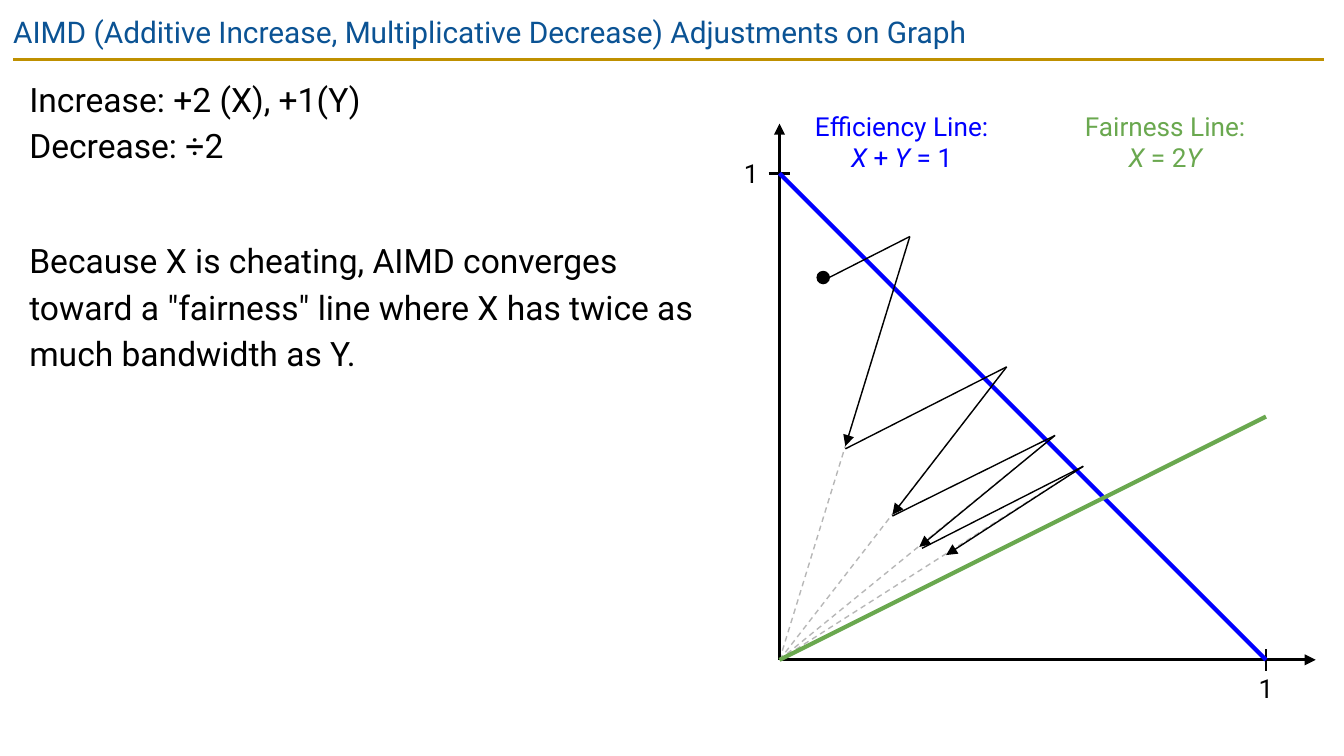
"""Build a slide that plots AIMD adjustments converging toward a fairness line."""
from lxml import etree
from pptx import Presentation
from pptx.dml.color import RGBColor
from pptx.enum.dml import MSO_LINE
from pptx.enum.shapes import MSO_CONNECTOR, MSO_SHAPE
from pptx.enum.text import PP_ALIGN
from pptx.oxml.ns import qn
from pptx.util import Inches, Pt

STRAIGHT = MSO_CONNECTOR.STRAIGHT
OVAL = MSO_SHAPE.OVAL
DASH = MSO_LINE.DASH
LEFT, CENTER = PP_ALIGN.LEFT, PP_ALIGN.CENTER

BLACK = RGBColor(0x00, 0x00, 0x00)
GRAY = RGBColor(0xB7, 0xB7, 0xB7)
GOLD = RGBColor(0xBF, 0x90, 0x00)
NAVY = RGBColor(0x0B, 0x53, 0x94)
BLUE = RGBColor(0x00, 0x00, 0xFF)
GREEN = RGBColor(0x6A, 0xA8, 0x4F)

ORIGIN_X, ORIGIN_Y = 5.8, 4.91
UNIT = 3.62
TICK = 0.08


def add_text(shapes, lines, left, top, width, height, size=14, color=BLACK,
             align=CENTER, inset=0, spacing=1, gap=0):
    box = shapes.add_textbox(Inches(left), Inches(top), Inches(width), Inches(height))
    frame = box.text_frame
    frame.word_wrap = True
    frame.margin_left = frame.margin_right = Inches(inset)
    frame.margin_top = frame.margin_bottom = Inches(inset)
    for index, pieces in enumerate(lines):
        para = frame.paragraphs[0] if index == 0 else frame.add_paragraph()
        para.alignment = align
        para.line_spacing = spacing
        para.space_before = Pt(gap if index == 2 else 0)
        for piece in pieces:
            span = para.add_run()
            span.text = piece
            span.font.name = "Roboto"
            span.font.size = Pt(size)
            span.font.color.rgb = color
            span.font.italic = piece in ("X", "Y")


def add_line(shapes, start, end, color=BLACK, width=0.75, dash=None, arrow=False):
    line = shapes.add_connector(STRAIGHT, *[Inches(value) for value in (*start, *end)])
    line.line.color.rgb = color
    line.line.width = Pt(width)
    if dash:
        line.line.dash_style = dash
    if arrow:
        etree.SubElement(line.line._get_or_add_ln(), qn("a:tailEnd"), type="triangle")
    etree.SubElement(line._element.spPr, qn("a:effectLst"))


deck = Presentation()
deck.slide_width = Inches(10)
deck.slide_height = deck.slide_width * 9 // 16
page = deck.slides.add_slide(deck.slide_layouts[6])
shapes = page.shapes

add_line(shapes, (0.1, 0.44), (9.85, 0.44), color=GOLD, width=1.5)
add_text(shapes, [["AIMD (Additive Increase, Multiplicative Decrease) Adjustments on Graph"]],
         0, 0, 9.32, 0.43, size=16, color=NAVY, align=LEFT, inset=0.1)
add_text(shapes, [["Increase: +2 (X), +1(Y)"], ["Decrease: ÷2"],
                  ["Because X is cheating, AIMD converges toward a \"fairness\" line "
                   "where X has twice as much bandwidth as Y."]],
         0.12, 0.44, 5.17, 3.99, size=18, align=LEFT, inset=0.1, spacing=1.15, gap=37)

origin = (ORIGIN_X, ORIGIN_Y)
x_one = (ORIGIN_X + UNIT, ORIGIN_Y)
y_one = (ORIGIN_X, ORIGIN_Y - UNIT)

peaks = [(6.77, 1.76), (7.49, 2.73), (7.85, 3.24), (8.06, 3.47)]
for peak in peaks:
    add_line(shapes, origin, peak, color=GRAY, dash=DASH)

y_axis = shapes.add_group_shape().shapes
add_line(y_axis, origin, (ORIGIN_X, 0.92), width=1.5, arrow=True)
add_text(y_axis, [["1"]], 5.46, 1.17, 0.26, 0.24)
add_line(y_axis, (ORIGIN_X - TICK, y_one[1]), (ORIGIN_X + TICK, y_one[1]), width=1.5)

x_axis = shapes.add_group_shape().shapes
add_line(x_axis, origin, (9.79, ORIGIN_Y), width=1.5, arrow=True)
add_text(x_axis, [["1"]], 9.29, 5, 0.26, 0.24)
add_line(x_axis, (x_one[0], ORIGIN_Y - TICK), (x_one[0], ORIGIN_Y + TICK), width=1.5)

add_line(shapes, y_one, x_one, color=BLUE, width=2.25)
add_text(shapes, [["Efficiency Line:"], ["X", " + ", "Y", " = 1"]],
         6.06, 0.82, 1.3, 0.47, color=BLUE)
add_line(shapes, origin, (x_one[0], ORIGIN_Y - UNIT / 2), color=GREEN, width=2.25)
add_text(shapes, [["Fairness Line:"], ["X", " = 2", "Y"]],
         8.02, 0.82, 1.3, 0.47, color=GREEN)

start_dot = shapes.add_shape(OVAL, Inches(6.08), Inches(2.02), Inches(0.09), Inches(0.09))
start_dot.shadow.inherit = False
start_dot.fill.solid()
start_dot.fill.fore_color.rgb = BLACK
start_dot.line.color.rgb = BLACK
start_dot.line.width = Pt(0.75)

increase_starts = [(6.16, 2.07), (6.29, 3.34), (6.64, 3.84), (6.86, 4.08)]
decrease_ends = [(6.29, 3.32), (6.64, 3.83), (6.84, 4.07), (7.04, 4.13)]
for start, peak, end in zip(increase_starts, peaks, decrease_ends):
    add_line(shapes, start, peak)
    add_line(shapes, peak, end, arrow=True)

deck.save("out.pptx")
